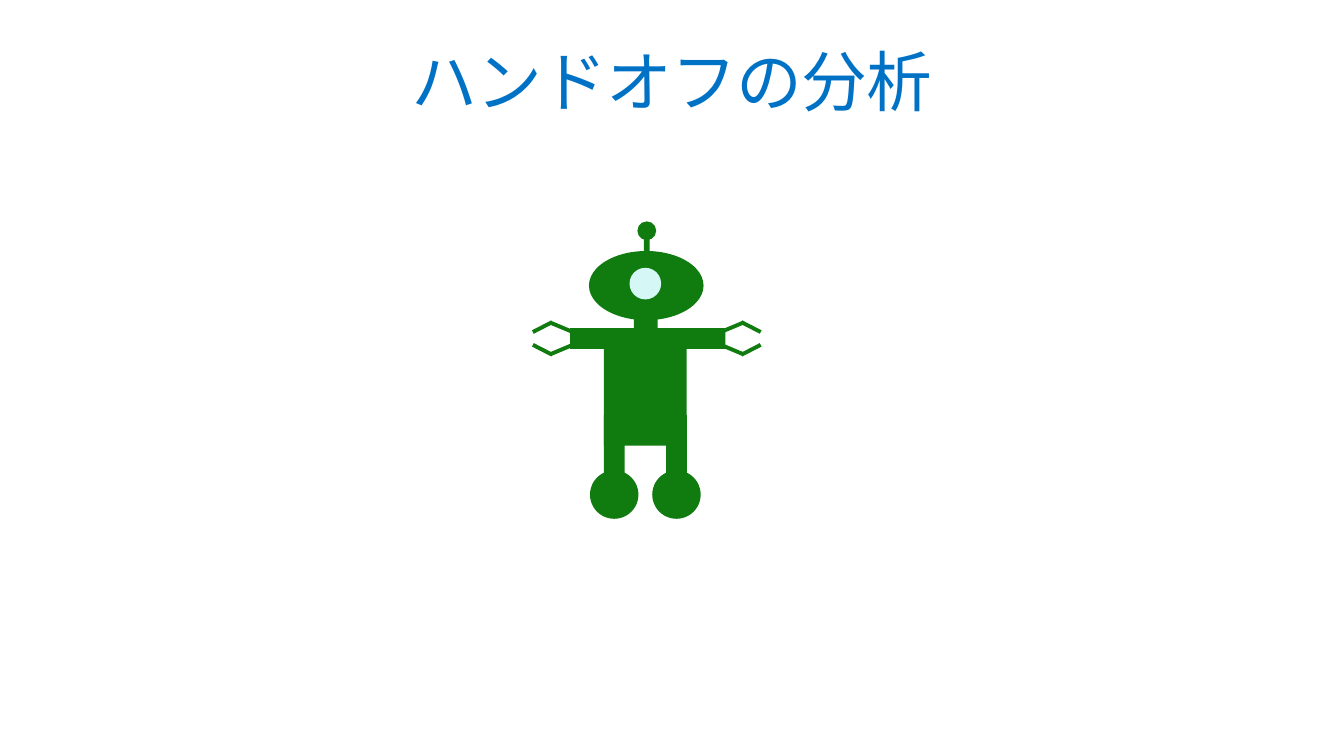
from pptx import Presentation
from pptx import util as u
from pptx.dml.color import RGBColor
from pptx.enum import shapes, text
from lxml import etree

TITLE = "ハンドオフの分析"
FONT = "Noto Sans CJK JP"
BLUE = RGBColor(0x00, 0x72, 0xC6)
GREEN = RGBColor(0x10, 0x7C, 0x10)
PALE = RGBColor(0xD5, 0xF7, 0xF6)
RECT = shapes.MSO_SHAPE.RECTANGLE
OVAL = shapes.MSO_SHAPE.OVAL

W, H = 13.6, 7.65
MARGIN = 0.4
CLAW_X, CLAW_Y = 6.545, 3.425

HEAD = (OVAL, 5.96, 2.54, 1.16, 0.7, 0)
TORSO = (RECT, 6.11, 3.32, 0.84, 1.19, 0)
ANTENNA = (RECT, 6.42, 2.46, 0.25, 0.06, 270)
ANTENNA_TIP = (OVAL, 6.45, 2.24, 0.19, 0.19, 0)
NECK = (RECT, 6.22, 3.21, 0.63, 0.24, 270)
EYE = (OVAL, 6.37, 2.71, 0.32, 0.32, 0)
ARMS = [(RECT, x, 3.32, 0.63, 0.21, 0) for x in (6.71, 5.77)]
LEGS = [(RECT, x, 4.41, 0.63, 0.21, 90) for x in (6.53, 5.9)]
FEET = [(OVAL, x, 4.76, 0.49, 0.49, 0) for x in (5.97, 6.6)]
CLAW_PARTS = [(7.49, 3.29, 0.22, 0.04, 27.2), (7.25, 3.3, 0.28, 0.04, -22.7)]


def mirrored_claws():
    for side in (1, -1):
        for level in (1, -1):
            for x, y, w, h, angle in CLAW_PARTS:
                left = CLAW_X + side * (x + w / 2 - CLAW_X) - w / 2
                top = CLAW_Y + level * (y + h / 2 - CLAW_Y) - h / 2
                yield RECT, left, top, w, h, side * level * angle


def add_part(group, part, color=GREEN):
    kind, x, y, w, h, angle = part
    sp = group.shapes.add_shape(kind, *map(u.Inches, (x, y, w, h)))
    sp.rotation = angle % 360
    sp.shadow.inherit = False
    sp.fill.solid()
    sp.fill.fore_color.rgb = color
    sp.line.fill.background()


def add_text(slide, words, box, size, color, font, line=1.0, spacing=0):
    sp = slide.shapes.add_textbox(*map(u.Inches, box))
    tf = sp.text_frame
    tf.word_wrap = True
    tf.vertical_anchor = text.MSO_ANCHOR.TOP
    tf.margin_left = tf.margin_right = u.Inches(0.1)
    tf.margin_top = tf.margin_bottom = u.Inches(0.1)
    p = tf.paragraphs[0]
    p.alignment = text.PP_ALIGN.CENTER
    p.line_spacing = line
    r = p.add_run()
    r.text = words
    r.font.size = u.Pt(size)
    r.font.name = font
    r.font.color.rgb = color
    props = r.font._element
    props.set("spc", str(round(spacing * 100)))
    latin = props.find("{*}latin")
    ea = etree.Element(latin.tag.replace("latin", "ea"), typeface=font)
    latin.addnext(ea)


def main():
    prs = Presentation()
    prs.slide_width, prs.slide_height = u.Inches(W), u.Inches(H)
    slide = prs.slides.add_slide(prs.slide_layouts[6])
    add_text(slide, TITLE, (MARGIN, MARGIN, W - 2 * MARGIN, 1), size=48,
             color=BLUE, font=FONT, line=0.9, spacing=-0.7)
    robot = slide.shapes.add_group_shape()
    for part in [HEAD, TORSO, *ARMS, ANTENNA, ANTENNA_TIP, NECK,
                 *LEGS, *FEET, *mirrored_claws()]:
        add_part(robot, part)
    add_part(robot, EYE, PALE)
    prs.save("out.pptx")


if __name__ == "__main__":
    main()
